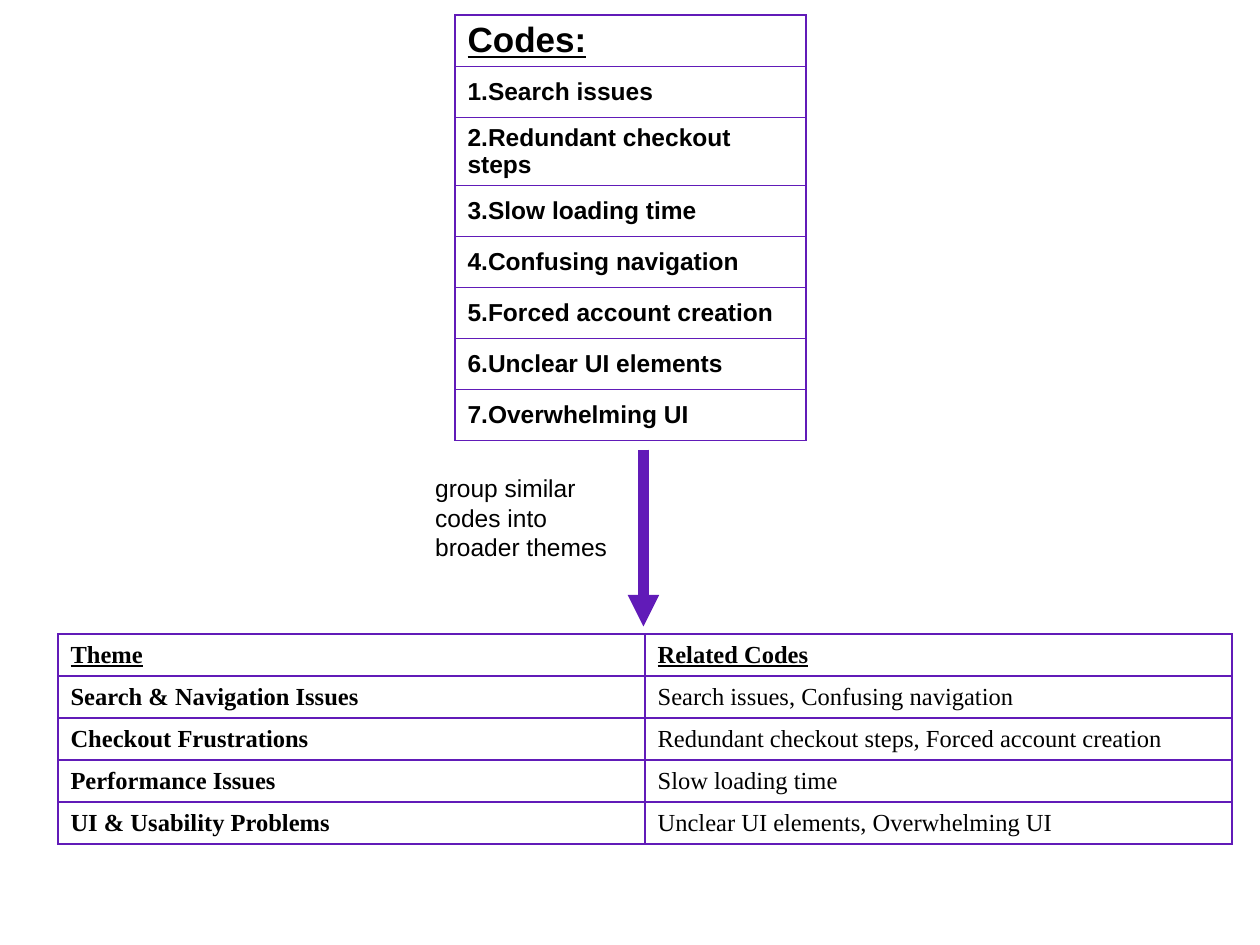
import pptx
import pptx.dml.color
import pptx.enum.shapes
import pptx.enum.text
import pptx.oxml.ns
import pptx.util
from lxml import etree

Pt = pptx.util.Pt
qn = pptx.oxml.ns.qn
ANCHOR = pptx.enum.text.MSO_ANCHOR
COLORS = {"purple": "611BB8", "text": "000000"}


def add_text(p, text, font, size, bold=False, underline=False):
    r = p.add_run()
    r.text = text
    r.font.name = font
    r.font.size = Pt(size)
    r.font.bold = bold
    r.font.underline = underline
    r.font.color.rgb = pptx.dml.color.RGBColor.from_string(COLORS["text"])


def add_grid(slide, rows, cols, left, top, col_width, row_height):
    table = slide.shapes.add_table(
        rows, cols, Pt(left), Pt(top), Pt(col_width * cols), Pt(row_height * rows)
    ).table
    table.first_row = False
    table.horz_banding = False
    for col in table.columns:
        col.width = Pt(col_width)
    for row in table.rows:
        row.height = Pt(row_height)
    for cell in table.iter_cells():
        tcPr = cell._tc.get_or_add_tcPr()
        for side in ("a:lnL", "a:lnR", "a:lnT", "a:lnB"):
            ln = etree.SubElement(tcPr, qn(side), w=str(Pt(1)))
            fill = etree.SubElement(ln, qn("a:solidFill"))
            etree.SubElement(fill, qn("a:srgbClr"), val=COLORS["purple"])
        cell.fill.background()
        cell.vertical_anchor = ANCHOR.MIDDLE
    return table


prs = pptx.Presentation()
prs.slide_width = Pt(720)
prs.slide_height = Pt(540)
s = prs.slides.add_slide(prs.slide_layouts[6])

codes = [
    "Codes:",
    "1.Search issues",
    "2.Redundant checkout steps",
    "3.Slow loading time",
    "4.Confusing navigation",
    "5.Forced account creation",
    "6.Unclear UI elements",
    "7.Overwhelming UI",
]
table = add_grid(s, len(codes), 1, 260, 8.5, 200.7, 29.15)
for i, code in enumerate(codes):
    p = table.cell(i, 0).text_frame.paragraphs[0]
    add_text(p, code, "Arial", 14 if i else 20, True, i == 0)
table.cell(0, 0).vertical_anchor = ANCHOR.TOP

arrow = s.shapes.add_connector(
    pptx.enum.shapes.MSO_CONNECTOR.STRAIGHT, Pt(367.7), Pt(257), Pt(367.7), Pt(358)
)
arrow.line.color.rgb = pptx.dml.color.RGBColor.from_string(COLORS["purple"])
arrow.line.width = Pt(6)
etree.SubElement(arrow.line._get_or_add_ln(), qn("a:tailEnd"), type="triangle")
etree.SubElement(arrow._element.spPr, qn("a:effectLst"))

sp = s.shapes.add_textbox(Pt(241.6), Pt(267), Pt(125), Pt(58.3))
tf = sp.text_frame
tf.word_wrap = True
add_text(tf.paragraphs[0], "group similar codes into broader themes", "Arial", 14)

themes = [
    ("Theme", "Related Codes"),
    ("Search & Navigation Issues", "Search issues, Confusing navigation"),
    ("Checkout Frustrations", "Redundant checkout steps, Forced account creation"),
    ("Performance Issues", "Slow loading time"),
    ("UI & Usability Problems", "Unclear UI elements, Overwhelming UI"),
]
table = add_grid(s, len(themes), 2, 33.1, 362.2, 335.5, 24.05)
for i, row in enumerate(themes):
    for j, text in enumerate(row):
        p = table.cell(i, j).text_frame.paragraphs[0]
        add_text(p, text, "Times New Roman", 14, i == 0 or j == 0, i == 0)

prs.save("out.pptx")
